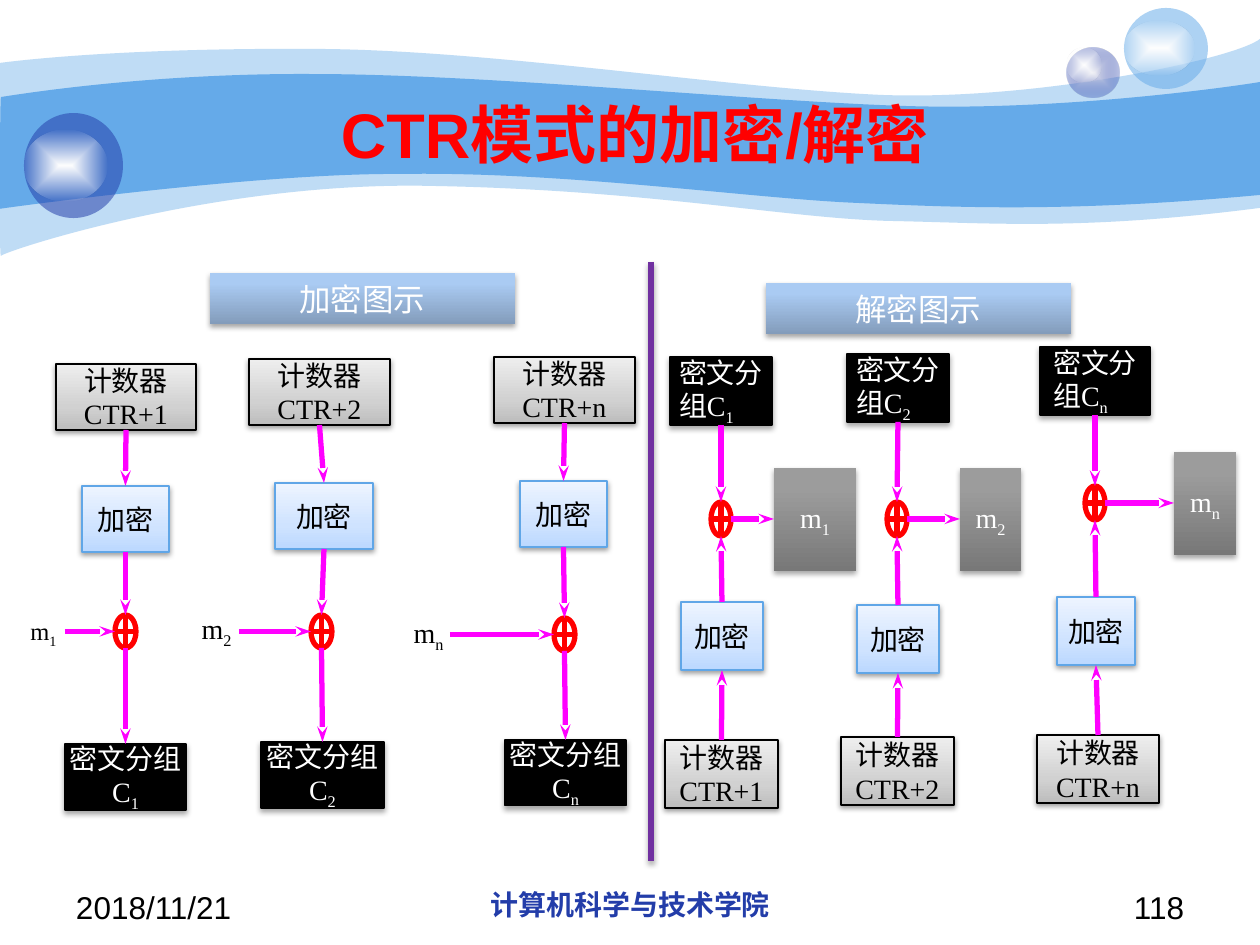
from pptx import Presentation
from pptx.dml.color import RGBColor
from pptx.enum.shapes import MSO_CONNECTOR, MSO_SHAPE
from pptx.enum.text import MSO_ANCHOR, PP_ALIGN
from pptx.oxml import parse_xml
from pptx.oxml.ns import nsdecls, qn
from pptx.util import Pt

PX = 914400 / 126
NS = nsdecls("a")
ROMAN, ARIAL = "Times New Roman", "Arial"
LEFT, MID, RIGHT, FULL = PP_ALIGN.LEFT, PP_ALIGN.CENTER, PP_ALIGN.RIGHT, PP_ALIGN.JUSTIFY
RECT, OVAL, XOR = MSO_SHAPE.RECTANGLE, MSO_SHAPE.OVAL, MSO_SHAPE.FLOWCHART_OR

BLACK = RGBColor(0x00, 0x00, 0x00)
WHITE = RGBColor(0xFF, 0xFF, 0xFF)
RED = RGBColor(0xFF, 0x00, 0x00)
PINK = RGBColor(0xFF, 0x00, 0xFF)
PURPLE = RGBColor(0x70, 0x30, 0xA0)
SKY = RGBColor(0x65, 0xAA, 0xE9)
NAVY = RGBColor(0x23, 0x3D, 0xA9)
PEARL = RGBColor(0xE1, 0xE2, 0xED)
EDGE = RGBColor(0x60, 0xA6, 0xE7)
GRAYS = RGBColor(0xBD, 0xBD, 0xBD), RGBColor(0xD1, 0xD1, 0xD1), RGBColor(0xEE, 0xEE, 0xEE)
BLUES = RGBColor(0xBB, 0xD8, 0xFF), RGBColor(0xCF, 0xE3, 0xFF), RGBColor(0xED, 0xF4, 0xFF)
STEELS = RGBColor(0x83, 0x9C, 0xBB), RGBColor(0xAA, 0xCB, 0xF3), RGBColor(0xA9, 0xCB, 0xF5)
STONES = RGBColor(0x78, 0x78, 0x78), RGBColor(0x9C, 0x9C, 0x9C), RGBColor(0x9D, 0x9D, 0x9D)

SOFT = [(0, 100), (35, 100), (100, 100)]
HARD = [(0, 100), (80, 100), (100, 100)]
UP = '<a:lin ang="16200000" scaled="0"/>'
GLOW = '<a:path path="shape"><a:fillToRect l="50000" t="50000" r="50000" b="50000"/></a:path>'
SHADE = ('<a:outerShdw {} blurRad="40000" dist="{}" dir="5400000" rotWithShape="0">'
         '<a:srgbClr val="000000"><a:alpha val="{}"/></a:srgbClr></a:outerShdw>')
LIGHT, DARK = SHADE.format(NS, 20000, 38000), SHADE.format(NS, 23000, 35000)

LOOKS = {
    "count": (GRAYS, SOFT, UP, BLACK, 0.75, BLACK, LIGHT),
    "block": (BLUES, SOFT, UP, EDGE, 0.75, BLACK, LIGHT),
    "code": ([BLACK], [(0, 100)], UP, BLACK, 0.75, WHITE, DARK),
    "xor": ([WHITE], [(0, 100)], UP, RED, 3, BLACK, None),
    "label": ([WHITE], [(0, 100)], UP, None, 0, BLACK, None),
    "plain": (STONES, HARD, UP, None, 0, WHITE, DARK),
    "head": (STEELS, HARD, UP, None, 0, WHITE, DARK),
    "pearl": ([PEARL, NAVY], [(0, 100), (100, 31)], GLOW, None, 0, WHITE, None),
    "shine": ([WHITE, WHITE], [(0, 100), (100, 0)], GLOW, None, 0, WHITE, None),
    "sky": ([SKY], [(0, 53)], UP, None, 0, WHITE, None),
    "navy": ([NAVY], [(0, 53)], UP, None, 0, WHITE, None),
    "title": ([], [], UP, None, 0, RED, None),
    "date": ([], [], UP, None, 0, BLACK, None),
    "school": ([], [], UP, None, 0, NAVY, None),
}

deck = Presentation()
deck.slide_width, deck.slide_height = int(1260 * PX), int(945 * PX)
shapes = deck.slides.add_slide(deck.slide_layouts[6]).shapes


def box(kind, at, look, words="", sub="", size=16, align=MID, face=ROMAN,
        pad=(3, 1), bold=False, anchor=MSO_ANCHOR.MIDDLE):
    tints, stops, way, edge, width, ink, shade = LOOKS[look]
    place = [int(v * PX) for v in at]
    shape = shapes.add_shape(kind, *place) if kind else shapes.add_textbox(*place)
    shape.shadow.inherit = False
    if len(tints) == 1:
        shape.fill.solid()
        shape.fill.fore_color.rgb = tints[0]
        if stops[0][1] < 100:
            tint = shape._element.spPr.find(".//" + qn("a:srgbClr"))
            tint.append(parse_xml(f'<a:alpha {NS} val="{stops[0][1] * 1000}"/>'))
    elif tints:
        shape.fill.gradient()
        marks = "".join(
            f'<a:gs pos="{pos * 1000}"><a:srgbClr val="{tint}"><a:alpha val="{clear * 1000}"/>'
            '</a:srgbClr></a:gs>' for tint, (pos, clear) in zip(tints, stops))
        props = shape._element.spPr
        props.replace(props.find(qn("a:gradFill")), parse_xml(
            f'<a:gradFill {NS} rotWithShape="1"><a:gsLst>{marks}</a:gsLst>{way}</a:gradFill>'))
    if edge is None:
        shape.line.fill.background()
    else:
        shape.line.color.rgb = edge
        shape.line.width = Pt(width)
    if shade:
        shape._element.spPr.find(qn("a:effectLst")).append(parse_xml(shade))
    if words:
        frame = shape.text_frame
        frame.word_wrap = True
        frame.vertical_anchor = anchor
        frame.margin_left = frame.margin_right = int(pad[0] * PX)
        frame.margin_top = frame.margin_bottom = int(pad[1] * PX)
        if align == FULL:
            frame._txBody.bodyPr.set("anchorCtr", "1")
        para = frame.paragraphs[0]
        para.alignment = align
        para.font.size, para.font.name, para.font.bold = Pt(size), face, bold
        para.font.color.rgb = ink
        para.add_run().text = words
        if sub:
            run = para.add_run()
            run.text = sub
            run._r.get_or_add_rPr().set("baseline", "-25000")


def link(ends, tint, shade=""):
    line = shapes.add_connector(MSO_CONNECTOR.STRAIGHT, *[int(v * PX) for v in ends])
    line.line.color.rgb = tint
    line.line.width = Pt(3)
    if not shade:
        line.line._get_or_add_ln().append(parse_xml(f'<a:tailEnd {NS} type="stealth" w="sm"/>'))
    line._element.spPr.append(parse_xml(f'<a:effectLst {NS}>{shade}</a:effectLst>'))


RIBBONS = [
    (41, (0, 63), [
        (30, 59, 135, 48, 311, 49), (486, 49, 725, 88, 881, 95), (1036, 101, 1235, 59, 1260, 39),
        (1260, 208), (1081, 231, 992, 223, 888, 221), (784, 218, 649, 190, 432, 186),
        (217, 181, 5, 251, 1, 256), (-1, 262, 0, 95, 0, 63)]),
    (100, (1, 97), [
        (3, 97, 139, 73, 312, 74), (486, 74, 750, 101, 905, 106), (1060, 111, 1230, 87, 1260, 82),
        (1260, 195), (1075, 212, 964, 208, 859, 203), (755, 199, 563, 171, 399, 174),
        (256, 173, -3, 209, -1, 209), (0, 209, 0, 97, 1, 97)]),
]
for clear, start, parts in RIBBONS:
    pen = shapes.build_freeform(start[0] * PX, start[1] * PX, scale=1.0)
    pen.add_line_segments([(part[-2] * PX, part[-1] * PX) for part in parts], close=True)
    wave = pen.convert_to_shape()
    props = wave._element.spPr
    for edge, part in zip(list(props.iter(qn("a:lnTo"))), parts):
        if len(part) == 6:
            dots = "".join(
                f'<a:pt x="{int(x * PX) - wave.left}" y="{int(y * PX) - wave.top}"/>'
                for x, y in zip(part[::2], part[1::2]))
            edge.getparent().replace(
                edge, parse_xml(f'<a:cubicBezTo {NS}>{dots}</a:cubicBezTo>'))
    wave.shadow.inherit = False
    wave.fill.solid()
    wave.fill.fore_color.rgb = SKY
    props.find(".//" + qn("a:srgbClr")).append(
        parse_xml(f'<a:alpha {NS} val="{clear * 1000}"/>'))
    wave.line.fill.background()

for look, ball, shine in [
    ("pearl", (1067, 48, 53, 50), (1067, 48, 35, 34)),
    ("sky", (1124, 8, 84, 81), (1124, 21, 70, 54)),
    ("navy", (24, 113, 99, 105), (24, 130, 83, 71)),
]:
    box(OVAL, ball, look)
    box(OVAL, shine, "shine")

box(None, (126, 94, 1018, 78), "title", "CTR模式的加密/解密", size=36, face=ARIAL,
    pad=(13, 6), bold=True)
for x, wide, look, words, size, align in [
    (63, 294, "date", "2018/11/21", 18, LEFT),
    (431, 399, "school", "计算机科学与技术学院", 16, MID),
    (903, 294, "date", "118", 18, RIGHT),
]:
    box(None, (x, 882, wide, 44), look, words, size=size, align=align, face=ARIAL,
        pad=(13, 6), bold=look == "school", anchor=MSO_ANCHOR.TOP)

SIDES = [
    (66, 33, 21, MID, "label", [
        ("1", (56, 364, 140), (82, 486, 87), (115, 615), (65, 744, 121), (22, 583, 43, 100), 14, MID),
        ("2", (249, 359, 141), (275, 483, 98), (311, 615), (261, 742, 123), (194, 581, 45, 100), 16, FULL),
        ("n", (494, 357, 141), (520, 481, 87), (554, 618), (505, 740, 121), (407, 599, 43, 71), 16, FULL)]),
    (68, 34, 20, FULL, "plain", [
        ("1", (665, 740, 113), (681, 602, 82), (711, 502), (670, 357, 102), (774, 468, 82, 103), 16, MID),
        ("2", (841, 737, 113), (857, 605, 82), (887, 502), (847, 354, 102), (960, 468, 61, 103), 16, MID),
        ("n", (1037, 735, 122), (1057, 597, 78), (1085, 486), (1040, 347, 110), (1174, 452, 62, 103), 16, MID)]),
]
for high, tall, wide, align, look, rows in SIDES:
    for tag, count, block, ring, code, note, size, set_as in rows:
        count, block, code = [(*spot, high) for spot in (count, block, code)]
        ring = (*ring, wide, tall)
        box(RECT, count, "count", "计数器CTR+" + tag)
        box(RECT, block, "block", "加密")
        box(RECT, code, "code", "密文分组C", tag, align=align)
        box(XOR, ring, "xor")
        box(RECT, note, look, "m", tag, size, set_as, pad=(3 if look == "label" else 13, 6))
        last = (ring, code) if look == "label" else (code, ring)
        for head, foot in [(count, block), (block, ring), last]:
            down = head[1] < foot[1]
            link((head[0] + head[2] / 2, head[1] + head[3] * down,
                  foot[0] + foot[2] / 2, foot[1] + foot[3] * (not down)), PINK)
        first, then = (note, ring) if look == "label" else (ring, note)
        level = ring[1] + tall / 2
        link((first[0] + first[2], level, then[0], level), PINK)

link((651, 262, 651, 861), PURPLE, DARK)
for x, y, words in [(210, 273, "加密图示"), (766, 283, "解密图示")]:
    box(RECT, (x, y, 305, 51), "head", words, size=18, face=ARIAL, pad=(13, 6))

deck.save("out.pptx")
